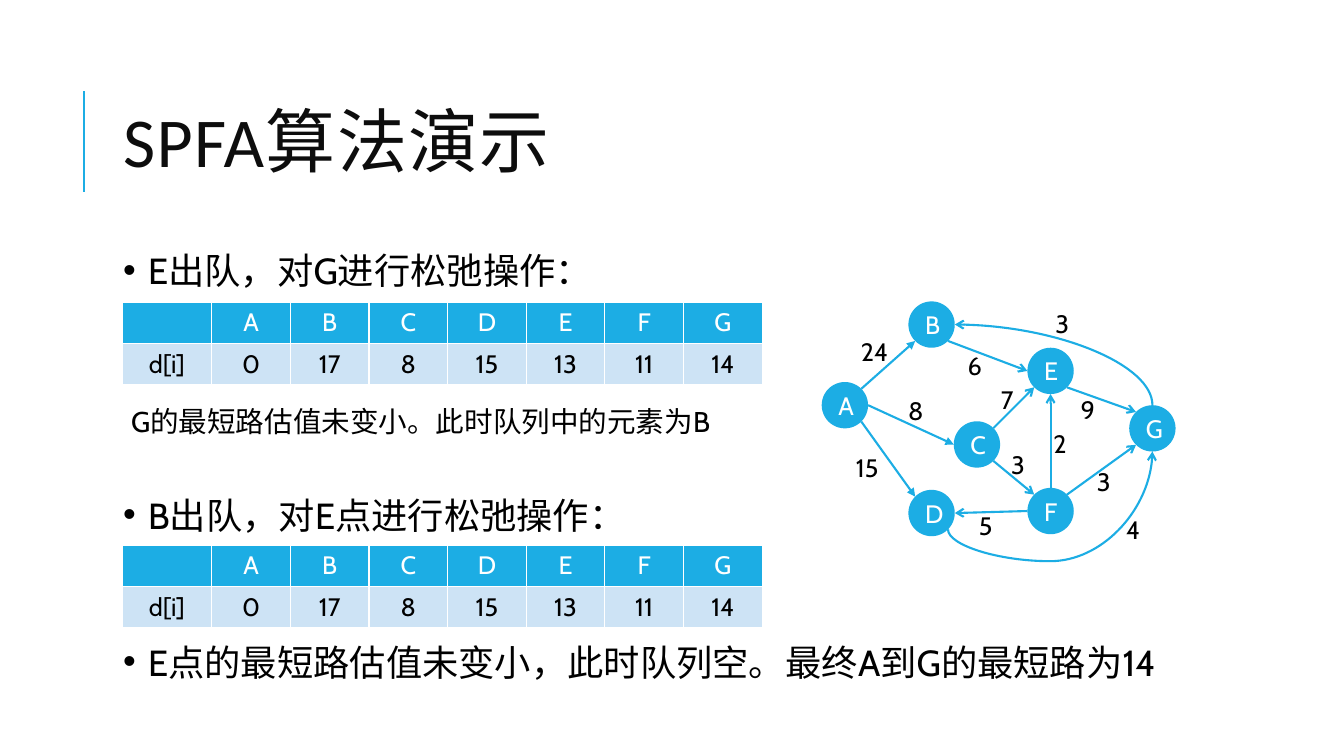
import math

import pptx
import pptx.chart.data
import pptx.dml.color
import pptx.enum.shapes
import pptx.enum.text
import pptx.oxml
import pptx.oxml.ns
import pptx.util
from lxml import etree

Inches, Pt = pptx.util.Inches, pptx.util.Pt
RGBColor = pptx.dml.color.RGBColor
ALIGN, ANCHOR = pptx.enum.text.PP_ALIGN, pptx.enum.text.MSO_ANCHOR
SHAPE, LINK = pptx.enum.shapes.MSO_SHAPE, pptx.enum.shapes.MSO_CONNECTOR
qn = pptx.oxml.ns.qn

BLUE = RGBColor(0x1C, 0xAD, 0xE4)
PALE = RGBColor(0xCD, 0xE3, 0xF5)
INK = RGBColor(0x0D, 0x0D, 0x0D)
BLACK = RGBColor(0, 0, 0)
WHITE = RGBColor(0xFF, 0xFF, 0xFF)

TITLE = "SPFA算法演示"
# text, size, space before, bullet
BODY = [
    ("E出队，对G进行松弛操作：", 25.9, 10, True),
    ("G的最短路估值未变小。此时队列中的元素为B", 20.4, 85, False),
    ("B出队，对E点进行松弛操作：", 25.9, 45, True),
    ("E点的最短路估值未变小，此时队列空。最终A到G的最短路为14", 25.9, 80, True),
]
ROWS = [["", "A", "B", "C", "D", "E", "F", "G"],
        ["d[i]", "0", "17", "8", "15", "13", "11", "14"]]
TABLE_TOPS = [3, 5.41]
FIRST_COL, COL, ROW = 0.89, 0.78, 0.41

# node centres
NODES = {"A": (8.38, 4.02), "B": (9.24, 3.22), "C": (9.69, 4.41),
         "D": (9.24, 5.09), "E": (10.42, 3.68), "F": (10.42, 5.07),
         "G": (11.43, 4.25)}
SIZE = 0.46
# compass points on a node, in degrees
SITES = {"E": 0, "SE": 45, "S": 90, "SW": 135,
         "W": 180, "NW": 225, "N": 270, "NE": 315}
# from, site, to, site, arrowhead, weight, left and top of the weight
EDGES = [
    ("A", "NE", "B", "SW", "triangle", "24", 8.44, 3.29),
    ("A", "SE", "D", "NW", "triangle", "15", 8.39, 4.44),
    ("A", "E", "C", "W", "triangle", "8", 8.91, 3.87),
    ("C", "NE", "E", "SW", "arrow", "7", 9.83, 3.76),
    ("B", "SE", "E", "W", "arrow", "6", 9.5, 3.43),
    ("E", "SE", "G", "NW", "arrow", "9", 10.62, 3.86),
    ("C", "SE", "F", "NW", "arrow", "3", 9.93, 4.41),
    ("F", "N", "E", "S", "arrow", "2", 10.35, 4.2),
    ("F", "W", "D", "E", "arrow", "5", 9.61, 5.01),
    ("F", "NE", "G", "SW", "arrow", "3", 10.78, 4.58),
    ("G", "N", "B", "E", "arrow", "3", 10.37, 3.01),
    ("D", "SE", "G", "S", "arrow", "4", 11.07, 5.05),
]
# preset, quarter turn, flips, bend
CURVES = {
    "GB": ("curvedConnector2", 270, ["flipV"], None),
    "DG": ("curvedConnector3", 90, ["flipH", "flipV"], -40900),
}

deck = pptx.Presentation()
deck.slide_width, deck.slide_height = Inches(13.33), Inches(7.5)
slide = deck.slides.add_slide(deck.slide_layouts[1])
shapes = slide.shapes


def place(shape, left, top, width, height):
    box = {"left": left, "top": top, "width": width, "height": height}
    for name, value in box.items():
        setattr(shape, name, Inches(value))


def write(para, text, size=18, color=BLACK, face="Cabin", align=ALIGN.LEFT):
    para.alignment = align
    run = para.add_run()
    run.text = text
    looks = {"size": Pt(size), "name": face, "bold": False}
    for name, value in looks.items():
        setattr(run.font, name, value)
    run.font.color.rgb = color
    return run


def draw_line(start, end, head=None):
    line = shapes.add_connector(LINK.STRAIGHT, *map(Inches, start + end))
    line.line.color.rgb = BLUE
    line.line.width = Pt(1.5)
    if head:
        etree.SubElement(line.line._get_or_add_ln(), qn("a:tailEnd"), type=head)
    etree.SubElement(line._element.spPr, qn("a:effectLst"))
    return line


def bend(line, start, end, preset, turn, flips, shift):
    """Turn a straight connector into a rotated curved one."""
    (x1, y1), (x2, y2) = start, end
    width, height = abs(y2 - y1), abs(x2 - x1)
    frame = line._element.spPr.find(qn("a:xfrm"))
    for flip in ("flipH", "flipV"):
        frame.set(flip, str(int(flip in flips)))
    frame.set("rot", str(turn * 60000))
    place(line, (x1 + x2 - width) / 2, (y1 + y2 - height) / 2, width, height)
    geom = line._element.spPr.find(qn("a:prstGeom"))
    geom.set("prst", preset)
    if shift is not None:
        etree.SubElement(geom.find(qn("a:avLst")), qn("a:gd"),
                         name="adj1", fmla=f"val {shift}")


def rim(node, site):
    """Point on the node's circle at a compass site."""
    x, y = NODES[node]
    angle = math.radians(SITES[site])
    return x + SIZE / 2 * math.cos(angle), y + SIZE / 2 * math.sin(angle)


def add_title():
    title = shapes.title
    place(title, 1.12, 0.64, 10.63, 1.64)
    title.text_frame.vertical_anchor = ANCHOR.MIDDLE
    para = title.text_frame.paragraphs[0]
    para.line_spacing = 0.8
    run = write(para, TITLE, 50, INK, "Calibri")
    run.font._element.set("spc", "100")
    draw_line((0.83, 1.9), (0.83, 0.9))


def add_body():
    body = slide.placeholders[1]
    place(body, 1.12, 2.5, 10.54, 4.4)
    frame = body.text_frame
    frame.auto_size = pptx.enum.text.MSO_AUTO_SIZE.NONE
    for i, (text, size, gap, dot) in enumerate(BODY):
        para = frame.add_paragraph() if i else frame.paragraphs[0]
        write(para, text, size)
        para.line_spacing, para.space_before = 0.8, Pt(gap)
        props = para._p.get_or_add_pPr()
        props.set("marL", str(Inches(0.25 if dot else 0.08)))
        props.set("indent", str(Inches(-0.25 if dot else 0)))
        if dot:
            etree.SubElement(props, qn("a:buFont"), typeface="Arial")
            etree.SubElement(props, qn("a:buChar"), char="•")
        else:
            etree.SubElement(props, qn("a:buNone"))


def add_graph():
    for name, (x, y) in NODES.items():
        box = (x - SIZE / 2, y - SIZE / 2, SIZE, SIZE)
        node = shapes.add_shape(SHAPE.OVAL, *map(Inches, box))
        node.shadow.inherit = False
        node.fill.solid()
        node.fill.fore_color.rgb = BLUE
        node.line.fill.background()
        node.text_frame.vertical_anchor = ANCHOR.MIDDLE
        write(node.text_frame.paragraphs[0], name, color=WHITE, align=ALIGN.CENTER)
    for tail, out, tip, into, head, weight, left, top in EDGES:
        start, end = rim(tail, out), rim(tip, into)
        line = draw_line(start, end, head)
        if tail + tip in CURVES:
            bend(line, start, end, *CURVES[tail + tip])
        box = (left, top, 0.2 + 0.14 * len(weight), 0.4)
        label = shapes.add_textbox(*map(Inches, box))
        label.text_frame.word_wrap = False
        write(label.text_frame.paragraphs[0], weight)


def add_grid(top):
    wide = FIRST_COL + COL * (len(ROWS[0]) - 1)
    box = (1.21, top, wide, ROW * len(ROWS))
    table = shapes.add_table(len(ROWS), len(ROWS[0]), *map(Inches, box)).table
    for i, col in enumerate(table.columns):
        col.width = Inches(COL if i else FIRST_COL)
    for r, row in enumerate(ROWS):
        for c, text in enumerate(row):
            cell = table.cell(r, c)
            cell.fill.solid()
            cell.fill.fore_color.rgb = PALE if r else BLUE
            if text:
                write(cell.text_frame.paragraphs[0], text,
                      color=BLACK if r else WHITE, align=ALIGN.CENTER)


add_title()
add_body()
add_graph()
for top in TABLE_TOPS:
    add_grid(top)
deck.save("out.pptx")
